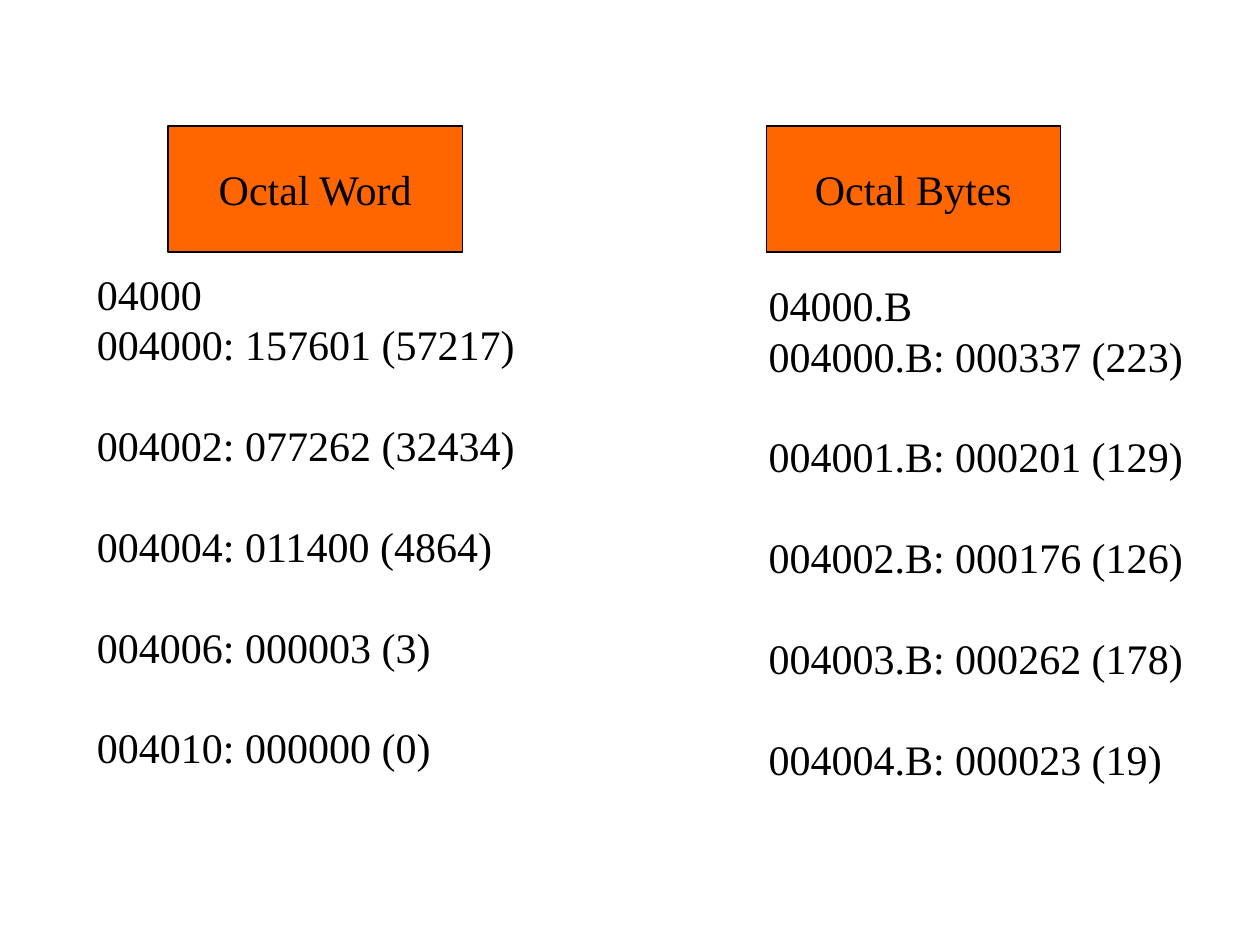
from pptx import Presentation
from pptx.dml.color import RGBColor
from pptx.enum.shapes import MSO_AUTO_SHAPE_TYPE as ShapeType
from pptx.enum.text import MSO_ANCHOR as Anchor, MSO_AUTO_SIZE as AutoSize, PP_ALIGN as Align
from pptx.oxml.ns import qn
from pptx.util import Cm, Pt
from lxml.etree import SubElement

ORANGE = RGBColor(0xFF, 0x66, 0x00)
BLACK = RGBColor(0x00, 0x00, 0x00)
LINE_HEIGHT = Pt(28.8)
FONT_FORMAT = {"name": "Times New Roman", "size": Pt(24)}
LABEL_FRAME = {"word_wrap": False, "vertical_anchor": Anchor.MIDDLE}
LISTING_FRAME = {
    "word_wrap": True,
    "vertical_anchor": Anchor.TOP,
    "auto_size": AutoSize.NONE,
    "margin_right": Cm(0),
}

COLUMNS = [
    {
        "box": (1.7, 2.54, 8.92),
        "label": "Octal Word",
        "label_indent": 1.69,
        "listing_drop": 2.74,
        "listing_height": 11.43,
        "lines": [
            "04000",
            "004000: 157601 (57217)",
            "004002: 077262 (32434)",
            "004004: 011400 (4864)",
            "004006: 000003 (3)",
            "004010: 000000 (0)",
        ],
    },
    {
        "box": (15.24, 2.54, 8.84),
        "label": "Octal Bytes",
        "label_indent": 0.21,
        "listing_drop": 2.97,
        "listing_height": 10.41,
        "lines": [
            "04000.B",
            "004000.B: 000337 (223)",
            "004001.B: 000201 (129)",
            "004002.B: 000176 (126)",
            "004003.B: 000262 (178)",
            "004004.B: 000023 (19)",
        ],
    },
]


def apply_format(target, values):
    for name, value in values.items():
        setattr(target, name, value)


def format_font(font):
    apply_format(font, FONT_FORMAT)
    font.color.rgb = BLACK


def remove_bullet(paragraph):
    properties = paragraph._p.get_or_add_pPr()
    properties.set("marL", "0")
    properties.set("indent", "0")
    SubElement(properties, qn("a:buNone"))


def fill_listing(shape, left, top, width, height, lines):
    position = {"left": Cm(left), "top": Cm(top), "width": Cm(width), "height": Cm(height)}
    apply_format(shape, position)
    frame = shape.text_frame
    apply_format(frame, LISTING_FRAME)
    frame.text = "\n".join(lines)
    for index, paragraph in enumerate(frame.paragraphs):
        spacing = {
            "alignment": Align.LEFT,
            "line_spacing": LINE_HEIGHT,
            "space_before": LINE_HEIGHT if index > 1 else Pt(0),
            "space_after": Pt(0),
        }
        apply_format(paragraph, spacing)
        remove_bullet(paragraph)
        format_font(paragraph.runs[0].font)


def add_label(slide, left, top, text):
    shape = slide.shapes.add_shape(
        ShapeType.RECTANGLE, Cm(left), Cm(top), Cm(5.93), Cm(2.54)
    )
    shape.shadow.inherit = False
    shape.fill.solid()
    shape.fill.fore_color.rgb = ORANGE
    shape.line.color.rgb = BLACK
    shape.line.width = Pt(0.75)
    frame = shape.text_frame
    apply_format(frame, LABEL_FRAME)
    paragraph = frame.paragraphs[0]
    paragraph.text = text
    paragraph.alignment = Align.CENTER
    format_font(paragraph.runs[0].font)


def build_column(slide, placeholder, column):
    left, top, width = column["box"]
    listing_top = top + column["listing_drop"]
    fill_listing(
        placeholder, left, listing_top, width, column["listing_height"], column["lines"]
    )
    add_label(slide, left + column["label_indent"], top, column["label"])


def main():
    presentation = Presentation()
    presentation.slide_width = Cm(25.4)
    presentation.slide_height = Cm(19.05)
    two_content = presentation.slide_layouts[3]
    slide = presentation.slides.add_slide(two_content)
    title, *bodies = list(slide.placeholders)[:3]
    title.element.getparent().remove(title.element)
    for body, column in zip(bodies, COLUMNS):
        build_column(slide, body, column)
    presentation.save("out.pptx")


if __name__ == "__main__":
    main()
